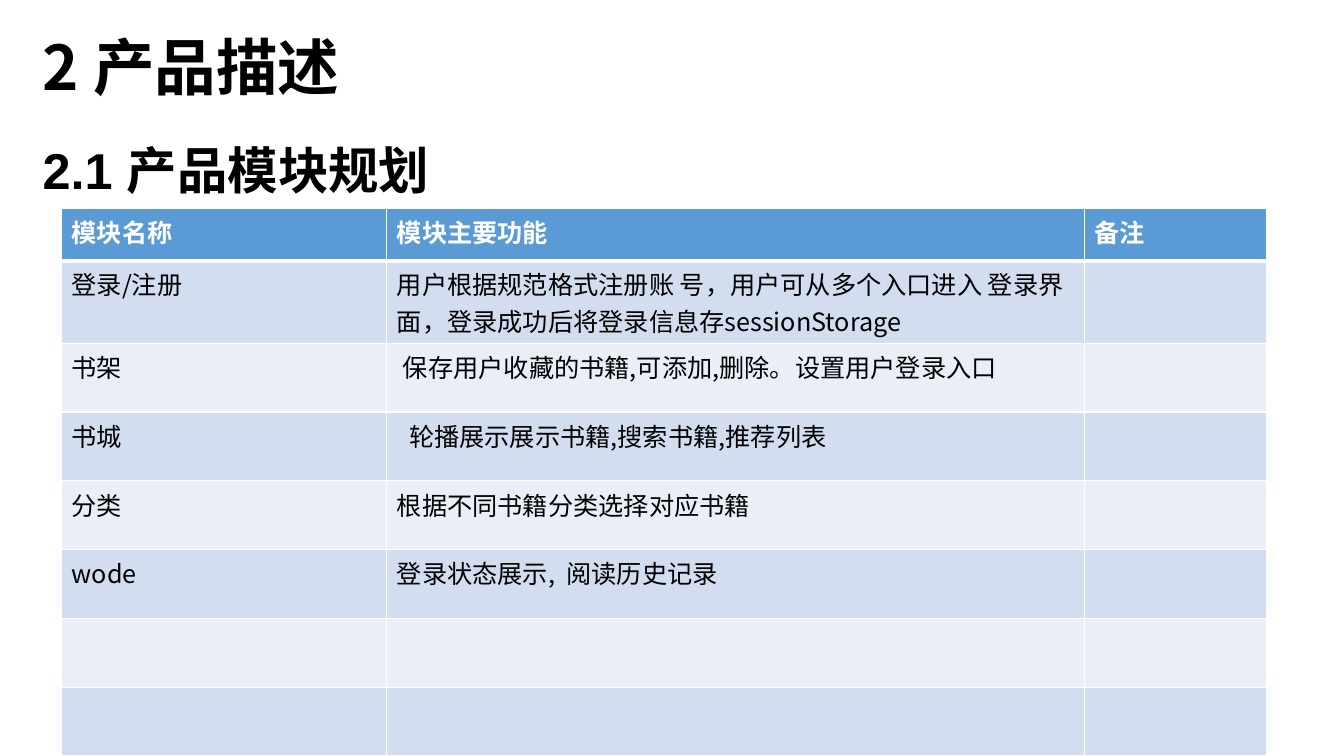
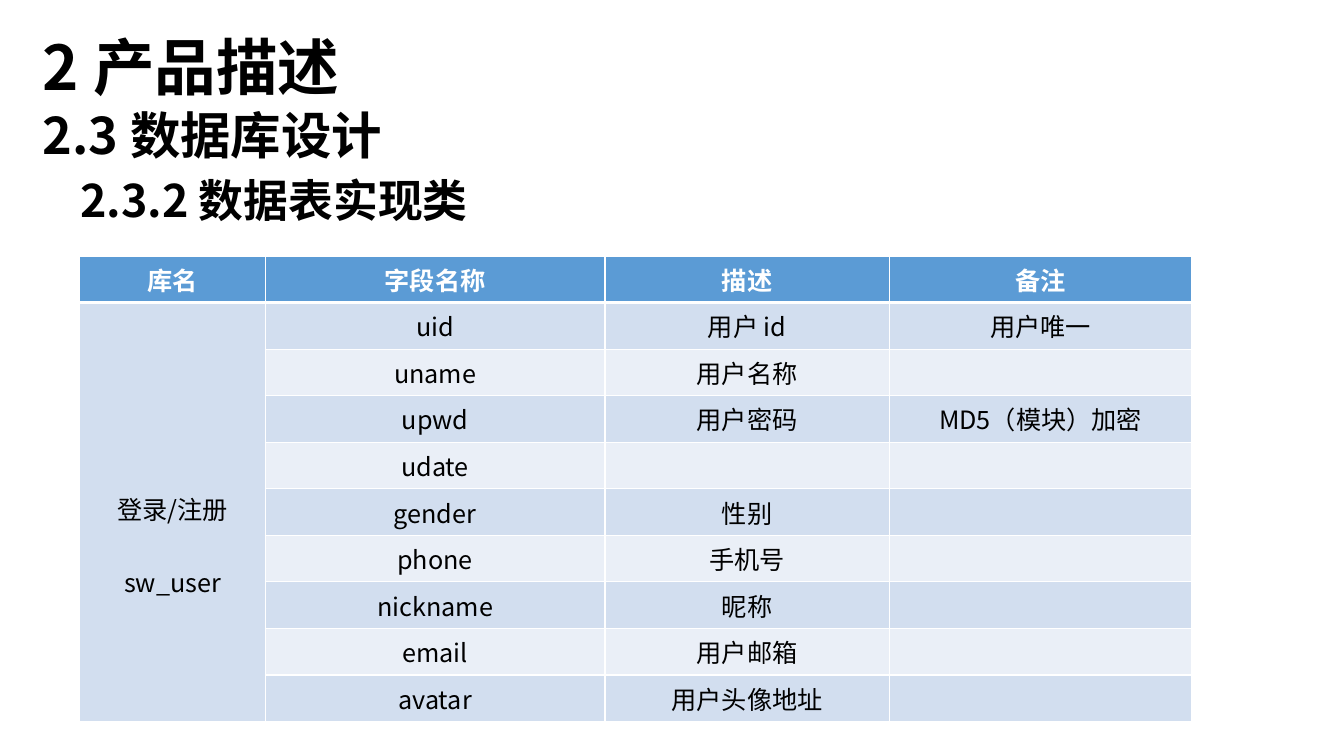
"""Build two product description slides, each with headings above a table."""
import pptx
import pptx.util
import pptx.dml.color
import pptx.enum.text
import pptx.oxml
import pptx.oxml.ns

BLACK = pptx.dml.color.RGBColor(0x00, 0x00, 0x00)
WHITE = pptx.dml.color.RGBColor(0xFF, 0xFF, 0xFF)
HEADER_BLUE = pptx.dml.color.RGBColor(0x5B, 0x9B, 0xD5)
BAND_DARK = pptx.dml.color.RGBColor(0xD2, 0xDE, 0xEF)
BAND_LIGHT = pptx.dml.color.RGBColor(0xEA, 0xEF, 0xF7)
CJK_FONT = "Noto Sans CJK SC"
LEFT = pptx.enum.text.PP_ALIGN.LEFT
CENTER = pptx.enum.text.PP_ALIGN.CENTER
CHAPTER = "2 产品描述"

deck = pptx.Presentation()
deck.slide_width = pptx.util.Inches(13.33)
deck.slide_height = pptx.util.Inches(7.5)


def share(left, top, width, height):
    """Turn percentages of the slide into lengths."""
    sides = (deck.slide_width, deck.slide_height) * 2
    return [pptx.util.Emu(round(side * part / 100))
            for side, part in zip(sides, (left, top, width, height))]


def write(paragraph, text, size=18, color=BLACK, bold=False, font=CJK_FONT,
          align=LEFT, indent=0, before=0, spacing=1.0):
    """Put formatted text into a paragraph."""
    paragraph.alignment = align
    paragraph.space_before = pptx.util.Pt(before)
    paragraph.line_spacing = spacing
    properties = paragraph._p.get_or_add_pPr()
    properties.set("marL", str(pptx.util.Inches(indent)))
    properties.set("indent", "0")
    run = paragraph.add_run()
    run.text = text
    run.font.size = pptx.util.Pt(size)
    run.font.bold = bold
    run.font.color.rgb = color
    run.font.name = font
    east_asian = pptx.oxml.parse_xml(
        f'<a:ea {pptx.oxml.ns.nsdecls("a")} typeface="{CJK_FONT}"/>')
    run.font._element.append(east_asian)


modules = [
    ["模块名称", "模块主要功能", "备注"],
    ["登录/注册", "⽤户根据规范格式注册账 号，用户可从多个入口进入 登录界面，"
     "登录成功后将登录信息存sessionStorage", ""],
    ["书架", "保存用户收藏的书籍,可添加,删除。设置用户登录入口", ""],
    ["书城", "轮播展示展示书籍,搜索书籍,推荐列表", ""],
    ["分类", "根据不同书籍分类选择对应书籍", ""],
    ["wode", "登录状态展示,  阅读历史记录", ""],
    ["", "", ""],
    ["", "", ""],
]
user_fields = [
    ["库名", "字段名称", "描述", "备注"],
    ["登录/注册", "uid", "用户 id", "用户唯一"],
    ["", "uname", "用户名称", ""],
    ["", "upwd", "用户密码", "MD5（模块）加密"],
    ["", "udate", "", ""],
    ["", "gender", "性别", ""],
    ["", "phone", "手机号", ""],
    ["", "nickname", "昵称", ""],
    ["", "email", "用户邮箱", ""],
    ["", "avatar", "用户头像地址", ""],
]
pages = [
    dict(headings=[dict(text="2.1 产品模块规划", size=36, font="Arial")],
         headings_box=(2.44, 18.6, 95.42, 71.2),
         records=modules, table_box=(4.58, 27.55, 89.65, 72.27),
         columns=(27, 57.87, 15.13), rows=[6.93, 10.93] + [9.1] * 6,
         align=LEFT, indents={(2, 1): 0.06, (3, 1): 0.12}),
    dict(headings=[dict(text="2.3 数据库设计", size=36),
                   dict(text="2.3.2 数据表实现类", size=32, indent=0.37)],
         headings_box=(2.44, 14, 95.42, 81.47),
         records=user_fields, table_box=(5.93, 33.87, 82.75, 61.6),
         columns=(16.68, 30.55, 25.57, 27.2), rows=[6.16] * 10,
         align=CENTER, indents={}),
]

for page in pages:
    slide = deck.slides.add_slide(deck.slide_layouts[6])
    title = slide.shapes.add_textbox(*share(2.44, 2.27, 86.27, 14.13)).text_frame
    title.word_wrap = True
    title.vertical_anchor = pptx.enum.text.MSO_ANCHOR.MIDDLE
    write(title.paragraphs[0], CHAPTER, size=44, bold=True, spacing=0.9)

    headings = slide.shapes.add_textbox(*share(*page["headings_box"])).text_frame
    headings.word_wrap = True
    for number, heading in enumerate(page["headings"]):
        line = headings.add_paragraph() if number else headings.paragraphs[0]
        write(line, bold=True, before=10, spacing=0.9, **heading)

    records = page["records"]
    left, top, width, height = share(*page["table_box"])
    table = slide.shapes.add_table(
        len(records), len(records[0]), left, top, width, height).table
    for column, part in zip(table.columns, page["columns"]):
        column.width = round(width * part / 100)
    for row, part in zip(table.rows, page["rows"]):
        row.height = round(deck.slide_height * part / 100)

    for r, record in enumerate(records):
        for c, text in enumerate(record):
            cell = table.cell(r, c)
            thick_side = {0: "B", 1: "T"}.get(r)
            for side in "LRTB":
                weight = pptx.util.Pt(3 if side == thick_side else 1)
                cell._tc.get_or_add_tcPr().append(pptx.oxml.parse_xml(
                    f'<a:ln{side} {pptx.oxml.ns.nsdecls("a")} w="{weight}">'
                    f'<a:solidFill><a:srgbClr val="{WHITE}"/></a:solidFill>'
                    f'</a:ln{side}>'))
            cell.fill.solid()
            band = BAND_DARK if r % 2 else BAND_LIGHT
            cell.fill.fore_color.rgb = band if r else HEADER_BLUE
            if text:
                write(cell.text_frame.paragraphs[0], text,
                      color=BLACK if r else WHITE, bold=r == 0,
                      align=page["align"],
                      indent=page["indents"].get((r, c), 0))

library = table.cell(1, 0)
library.merge(table.cell(len(user_fields) - 1, 0))
library.margin_top = pptx.util.Inches(1.86)
write(library.text_frame.add_paragraph(), "sw_user", align=CENTER, before=26)

deck.save("out.pptx")
